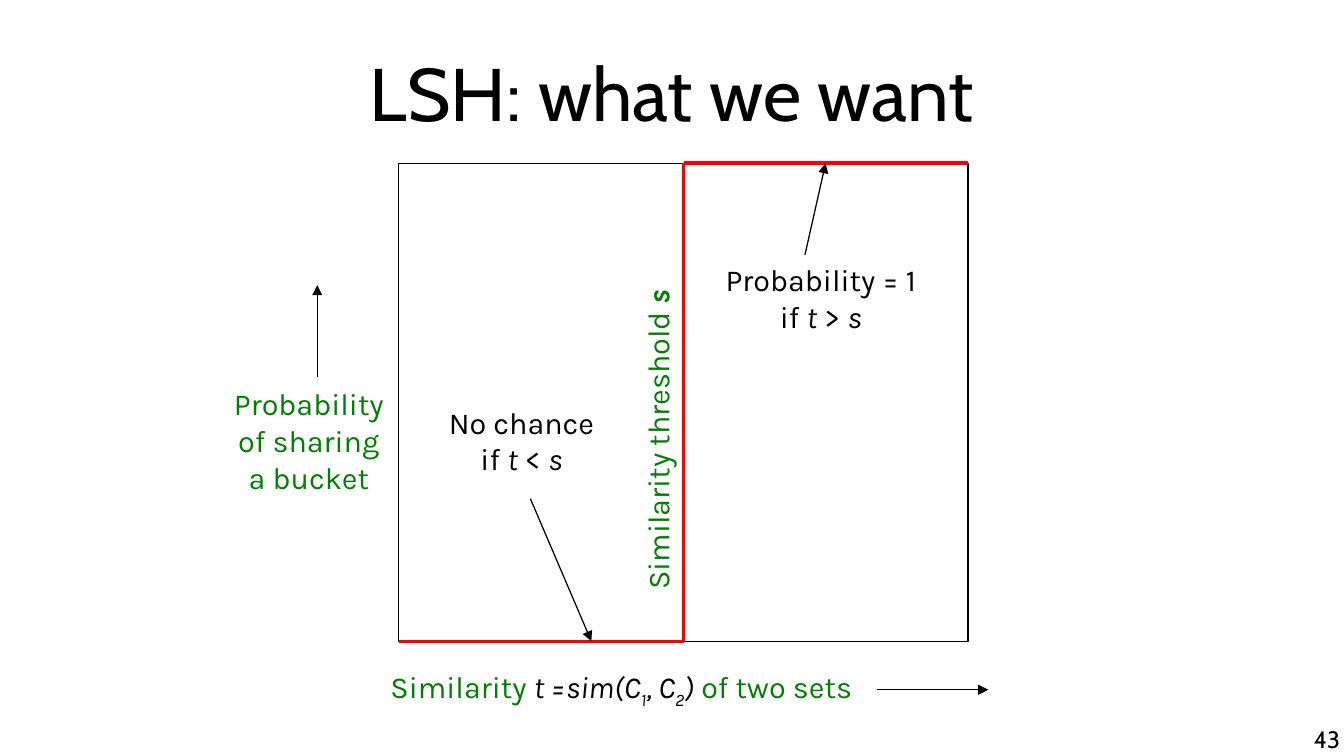
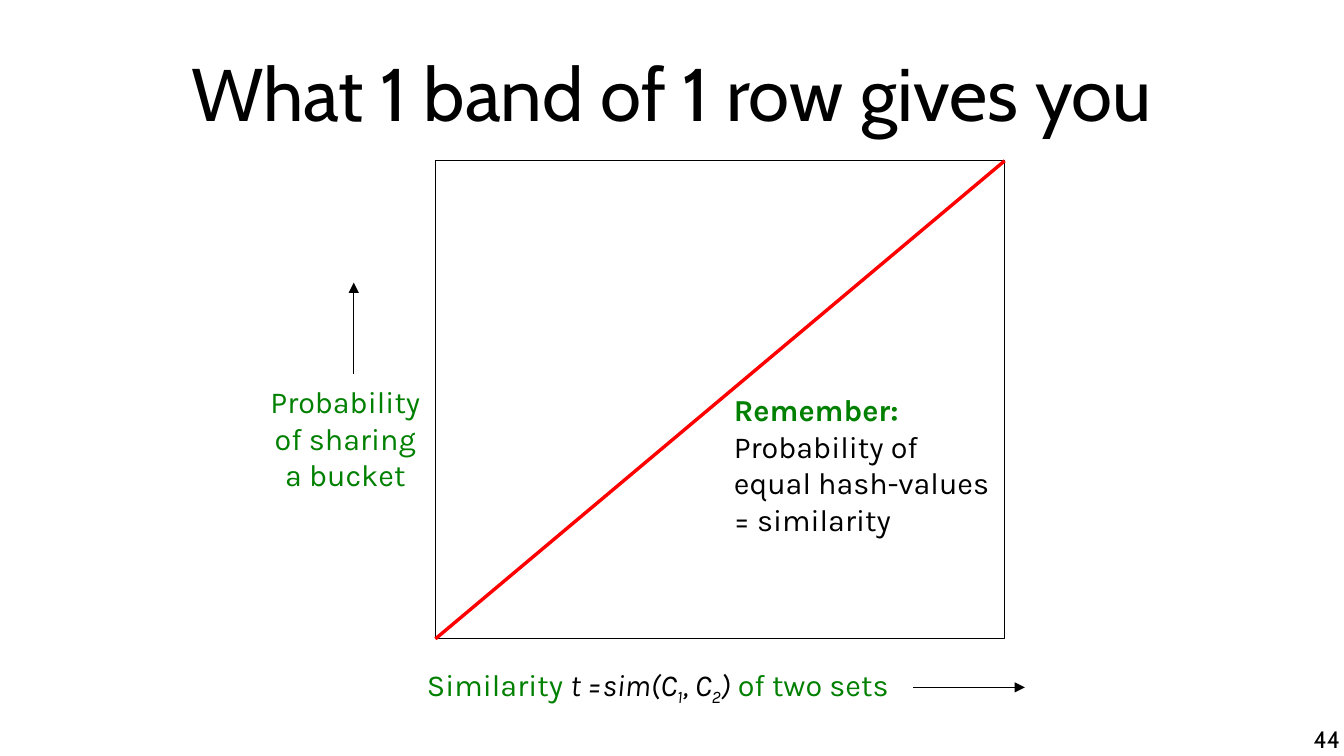
from dataclasses import dataclass
from typing import Optional

from lxml.etree import SubElement
from pptx import Presentation
from pptx.dml.color import RGBColor
from pptx.enum.shapes import MSO_CONNECTOR as Connector, MSO_SHAPE as Preset
from pptx.enum.text import MSO_ANCHOR as Anchor, PP_ALIGN as Align
from pptx.oxml.ns import qn
from pptx.util import Cm, Pt


# Theme: colours, fonts, sizes
@dataclass(frozen=True)
class Theme:
    black: RGBColor = RGBColor(0x00, 0x00, 0x00)
    green: RGBColor = RGBColor(0x00, 0x80, 0x00)
    red: RGBColor = RGBColor(0xFF, 0x00, 0x00)
    heading_font: str = "Cabin"
    body_font: str = "Karla"
    title_size: float = 44
    body_size: float = 18
    number_size: float = 14
    thin: float = 0.75
    thick: float = 2


THEME = Theme()
SLIDE_W, SLIDE_H = 28.0, 15.75
PLOT_W, PLOT_H = 11.86, 9.96


# Content types; positions are in centimetres
@dataclass(frozen=True)
class Span:
    text: str
    ink: Optional[RGBColor] = None
    bold: bool = False
    italic: bool = False
    subscript: bool = False


@dataclass(frozen=True)
class Label:
    left: float
    top: float
    width: float
    height: float
    lines: list[list[Span]]
    ink: RGBColor = THEME.black
    font: str = THEME.body_font
    size: float = THEME.body_size
    align: Align = Align.CENTER
    anchor: Anchor = Anchor.TOP
    padding: tuple[float, float] = (0.25, 0.13)
    wrap: bool = False
    rotation: float = 0


@dataclass(frozen=True)
class Segment:
    x1: float
    y1: float
    x2: float
    y2: float
    ink: RGBColor = THEME.black
    weight: float = THEME.thin
    arrow: bool = True
    begin_site: Optional[int] = None
    end_site: Optional[int] = None


@dataclass(frozen=True)
class PlotSlide:
    title: str
    number: str
    left: float
    top: float
    curve: list[Segment]
    labels: list[Label]
    pointers: list[Segment]


def draw_label(slide, label: Label, dx: float = 0, dy: float = 0) -> None:
    box = slide.shapes.add_textbox(Cm(label.left + dx), Cm(label.top + dy),
                                   Cm(label.width), Cm(label.height))
    box.rotation = label.rotation
    frame = box.text_frame
    frame.word_wrap = label.wrap
    frame.vertical_anchor = label.anchor
    frame.margin_left = frame.margin_right = Cm(label.padding[0])
    frame.margin_top = frame.margin_bottom = Cm(label.padding[1])
    for index, spans in enumerate(label.lines):
        line = frame.add_paragraph() if index else frame.paragraphs[0]
        line.alignment = label.align
        line.font.name = label.font
        line.font.size = Pt(label.size)
        line.font.color.rgb = label.ink
        for span in spans:
            run = line.add_run()
            run.text = span.text
            if span.ink is not None:
                run.font.color.rgb = span.ink
            if span.bold:
                run.font.bold = True
            if span.italic:
                run.font.italic = True
            if span.subscript:
                run.font._element.set("baseline", "-25000")


def draw_segment(slide, segment: Segment, plot, dx: float, dy: float) -> None:
    link = slide.shapes.add_connector(
        Connector.STRAIGHT, Cm(segment.x1 + dx), Cm(segment.y1 + dy),
        Cm(segment.x2 + dx), Cm(segment.y2 + dy))
    if segment.begin_site is not None:
        link.begin_connect(plot, segment.begin_site)
    if segment.end_site is not None:
        link.end_connect(plot, segment.end_site)
    link.line.color.rgb = segment.ink
    link.line.width = Pt(segment.weight)
    if segment.arrow:
        SubElement(link.line._get_or_add_ln(), qn("a:tailEnd"), type="triangle")
    SubElement(link._element.spPr, qn("a:effectLst"))


def curve_part(x1: float, y1: float, x2: float, y2: float,
               begin_site: Optional[int] = None,
               end_site: Optional[int] = None) -> Segment:
    return Segment(x1, y1, x2, y2, THEME.red, THEME.thick, False,
                   begin_site, end_site)


def condition(sign: str) -> list[Span]:
    return [Span("if "), Span("t", italic=True), Span(f" {sign} "),
            Span("s", italic=True)]


# Axis captions and arrows, measured from the plot's top left corner
AXIS_LABELS = [
    Label(-1.4, 10.39, 12.07, 1.12, [[
        Span("Similarity ", THEME.green),
        Span("t =sim(C", italic=True),
        Span("1", italic=True, subscript=True),
        Span(", C", italic=True),
        Span("2", italic=True, subscript=True),
        Span(")", italic=True),
        Span(" of two sets", THEME.green)]], wrap=True),
    Label(-3.73, 4.5, 3.71, 2.54,
          [[Span("Probability")], [Span("of sharing")], [Span("a bucket")]],
          ink=THEME.green),
]
AXIS_ARROWS = [Segment(9.96, 10.97, 12.28, 10.97),
               Segment(-1.7, 4.45, -1.7, 2.54)]

MIDDLE = PLOT_W / 2
SLIDES = [
    PlotSlide(
        "LSH: what we want", "43", 8.31, 3.4,
        curve=[
            curve_part(0, PLOT_H, MIDDLE, PLOT_H, end_site=2),
            curve_part(MIDDLE, PLOT_H, MIDDLE, 0, begin_site=2, end_site=0),
            curve_part(MIDDLE, 0, PLOT_W, 0, begin_site=0)],
        labels=[
            Label(2.0, 5.26, 6.76, 1.02,
                  [[Span("Similarity threshold "),
                    Span("s", bold=True, italic=True)]],
                  ink=THEME.green, rotation=270),
            Label(0.74, 4.88, 3.63, 1.78, [[Span("No chance")], condition("<")]),
            Label(6.35, 1.91, 4.88, 1.78,
                  [[Span("Probability = 1 "), *condition(">")]], wrap=True)],
        pointers=[Segment(2.74, 6.99, 4.01, PLOT_H),
                  Segment(8.46, 1.91, 8.89, 0)]),
    PlotSlide(
        "What 1 band of 1 row gives you", "44", 9.07, 3.35,
        curve=[curve_part(0, PLOT_H, PLOT_W, 0)],
        labels=[
            Label(5.97, 4.67, 5.87, 3.3,
                  [[Span("Remember:", THEME.green, bold=True)],
                   [Span("Probability of")],
                   [Span("equal hash-values")],
                   [Span("= similarity")]], align=Align.LEFT)],
        pointers=[]),
]


def draw_slide(deck, content: PlotSlide) -> None:
    slide = deck.slides.add_slide(deck.slide_layouts[6])
    # Title and slide number
    draw_label(slide, Label(1.4, 0.03, 25.2, 3.78, [[Span(content.title)]],
                            font=THEME.heading_font, size=THEME.title_size,
                            anchor=Anchor.MIDDLE, padding=(0, 0), wrap=True))
    draw_label(slide, Label(21.39, 15.11, 6.53, 0.64, [[Span(content.number)]],
                            font=THEME.heading_font, size=THEME.number_size,
                            align=Align.RIGHT, padding=(0, 0), wrap=True))
    # Plot frame
    plot = slide.shapes.add_shape(Preset.RECTANGLE, Cm(content.left),
                                  Cm(content.top), Cm(PLOT_W), Cm(PLOT_H))
    plot.shadow.inherit = False
    plot.fill.background()
    plot.line.color.rgb = THEME.black
    plot.line.width = Pt(THEME.thin)
    # Curve, arrows and captions
    for segment in content.curve + AXIS_ARROWS + content.pointers:
        draw_segment(slide, segment, plot, content.left, content.top)
    for label in AXIS_LABELS + content.labels:
        draw_label(slide, label, content.left, content.top)


def main() -> None:
    deck = Presentation()
    deck.slide_width, deck.slide_height = Cm(SLIDE_W), Cm(SLIDE_H)
    for content in SLIDES:
        draw_slide(deck, content)
    deck.save("out.pptx")


if __name__ == "__main__":
    main()
